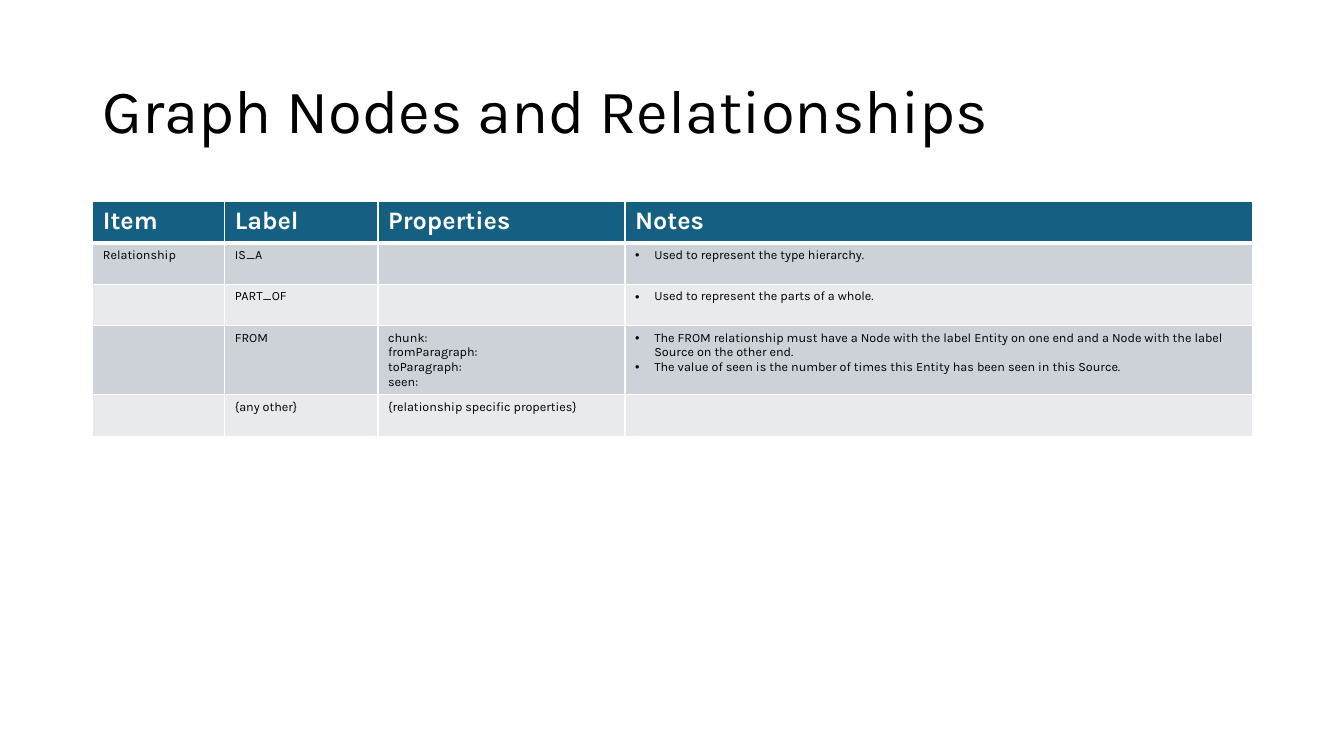
from lxml.etree import SubElement
from pptx import Presentation
from pptx.dml.color import RGBColor
from pptx.enum.text import MSO_ANCHOR
from pptx.oxml.ns import qn
from pptx.util import Inches, Pt

COLORS = {
    "text": "000000",
    "white": "FFFFFF",
    "header": "156082",
    "odd": "CCD2D8",
    "even": "E8EAED",
}
FONT = "Karla"
TITLE_BOX = (0.92, 0.4, 11.5, 1.45)
TABLE_BOX = (0.92, 2, 11.5, 2.05)
COLUMN_WIDTHS = (1.31, 1.52, 2.45, 6.22)
NOTES_COLUMN = 3
ROWS = [
    ("Item", "Label", "Properties", "Notes"),
    ("Relationship", "IS_A", "", "Used to represent the type hierarchy."),
    ("", "PART_OF", "", "Used to represent the parts of a whole."),
    ("", "FROM", "chunk:\nfromParagraph:\ntoParagraph:\nseen:",
     "The FROM relationship must have a Node with the label Entity on one end "
     "and a Node with the label Source on the other end.\n"
     "The value of seen is the number of times this Entity has been seen in this Source."),
    ("", "{any other}", "{relationship specific properties}", ""),
]


def rgb(name):
    return RGBColor.from_string(COLORS[name])


def set_font(font, size, color, bold=False):
    font.name = FONT
    font.size = Pt(size)
    font.bold = bold
    font.color.rgb = rgb(color)


def add_bullet(paragraph):
    properties = paragraph._p.get_or_add_pPr()
    properties.set("marL", str(Inches(0.19)))
    properties.set("indent", str(-Inches(0.19)))
    SubElement(properties, qn("a:buFont")).set("typeface", "Arial")
    SubElement(properties, qn("a:buChar")).set("char", "•")


def set_borders(cell, bottom_width):
    properties = cell._tc.get_or_add_tcPr()
    for side, width in (("L", 1), ("R", 1), ("T", 1), ("B", bottom_width)):
        line = SubElement(properties, qn(f"a:ln{side}"), w=str(Pt(width)))
        fill = SubElement(line, qn("a:solidFill"))
        SubElement(fill, qn("a:srgbClr")).set("val", COLORS["white"])


def fill_cell(cell, text, fill, size, color, header=False, bulleted=False):
    set_borders(cell, 3 if header else 1)
    cell.fill.solid()
    cell.fill.fore_color.rgb = rgb(fill)
    cell.text_frame.text = text
    for paragraph in cell.text_frame.paragraphs:
        if bulleted and text:
            add_bullet(paragraph)
        for run in paragraph.runs:
            set_font(run.font, size, color, bold=header)


def place_title(slide, box, text):
    title = slide.shapes.title
    title.left, title.top, title.width, title.height = map(Inches, box)
    frame = title.text_frame
    frame.text = text
    frame.word_wrap = True
    frame.vertical_anchor = MSO_ANCHOR.MIDDLE
    heading = frame.paragraphs[0]
    heading.alignment = 1  # left
    heading.line_spacing = 0.9
    set_font(heading.runs[0].font, 44, "text")


def add_relationship_table(slide, box):
    table = slide.shapes.add_table(len(ROWS), len(COLUMN_WIDTHS), *map(Inches, box)).table
    for column, width in zip(table.columns, COLUMN_WIDTHS):
        column.width = Inches(width)
    for r, texts in enumerate(ROWS):
        for c, text in enumerate(texts):
            cell = table.cell(r, c)
            if r == 0:
                fill_cell(cell, text, "header", 18, "white", header=True)
            else:
                fill_cell(cell, text, "odd" if r % 2 else "even", 9, "text",
                          bulleted=c == NOTES_COLUMN)


def main():
    presentation = Presentation()
    presentation.slide_width = Inches(13.33)
    presentation.slide_height = Inches(7.5)
    slide = presentation.slides.add_slide(presentation.slide_layouts[5])
    place_title(slide, TITLE_BOX, "Graph Nodes and Relationships")
    add_relationship_table(slide, TABLE_BOX)
    presentation.save("out.pptx")


if __name__ == "__main__":
    main()
